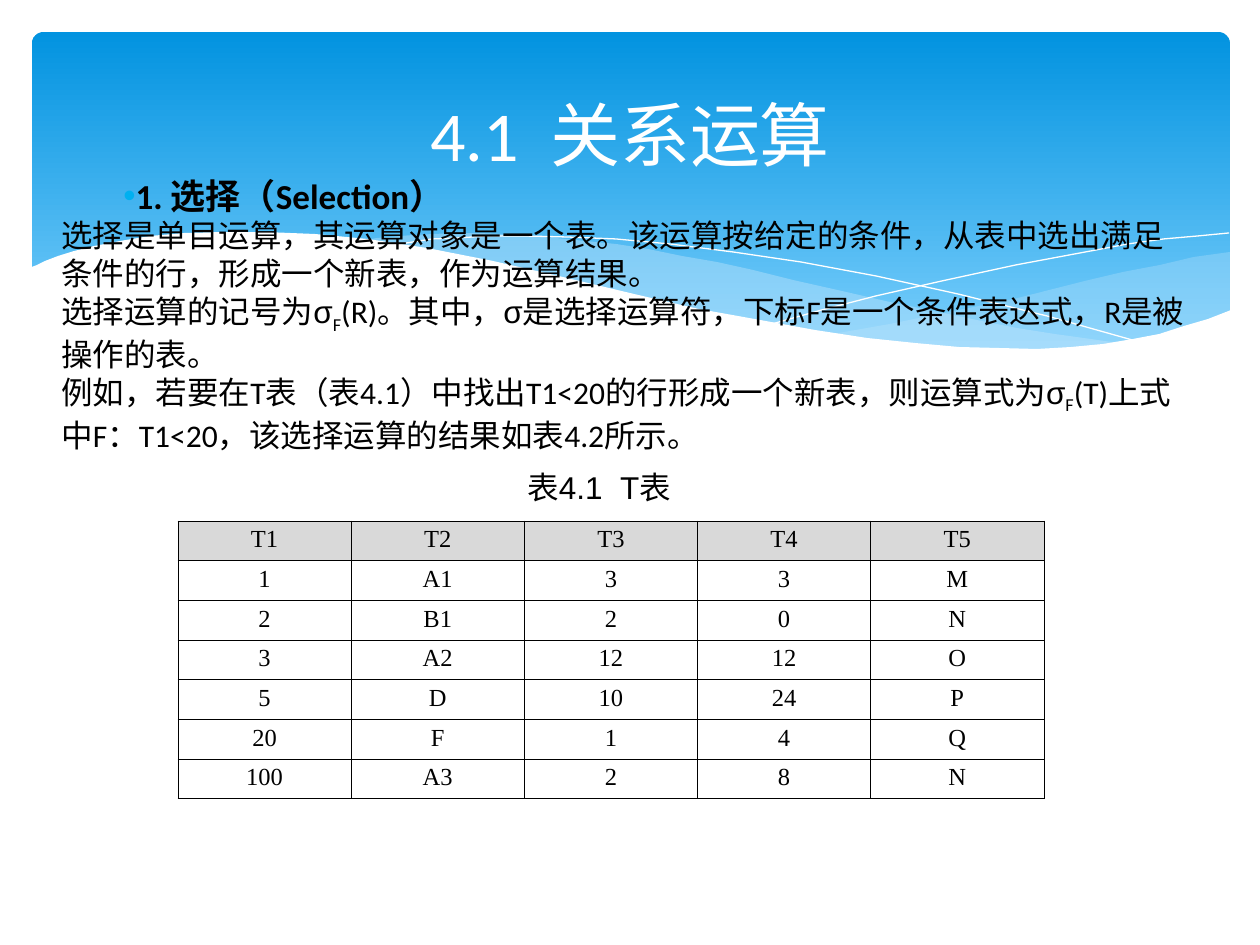
from lxml.etree import SubElement
from pptx import Presentation
from pptx.dml.color import RGBColor
from pptx.enum.shapes import MSO_SHAPE
from pptx.enum.text import MSO_ANCHOR, PP_ALIGN
from pptx.oxml.ns import qn
from pptx.util import Pt

PX = 914400 / 126
COLORS = {
    "sky_top": "0293E0", "sky_bottom": "83D3FE", "wave": "C6E7FC",
    "white": "FFFFFF", "black": "000000", "bullet": "00B0F0", "header": "D9D9D9",
}


def px(value):
    return round(value * PX)


def add_run(paragraph, text, size, font="Calibri", color="black", bold=False, baseline=0):
    run = paragraph.add_run()
    run.text = text
    run.font.size = Pt(size)
    run.font.name = font
    run.font.bold = bold
    run.font.color.rgb = RGBColor.from_string(COLORS[color])
    if baseline:
        run.font._element.set("baseline", str(baseline * 1000))


presentation = Presentation()
presentation.slide_width = px(1260)
presentation.slide_height = px(945)
slide = presentation.slides.add_slide(presentation.slide_layouts[6])

banner = slide.shapes.add_shape(MSO_SHAPE.ROUNDED_RECTANGLE, px(32), px(32), px(1198), px(340))
banner.shadow.inherit = False
banner.adjustments[0] = 0.034
banner.line.fill.background()
banner.fill.gradient()
banner.fill.gradient_angle = 270
for stop, name, position in zip(banner.fill.gradient_stops, ("sky_top", "sky_bottom"), (0, 1)):
    stop.color.rgb = RGBColor.from_string(COLORS[name])
    stop.position = position

right_wave = [
    (1230, 252), (1194, 257), (1160, 265), (1123, 272), (1085, 281), (1014, 299), (949, 312),
    (890, 324), (833, 334), (871, 339), (905, 344), (939, 347), (969, 349), (1012, 350),
    (1038, 350), (1076, 348), (1110, 344), (1140, 339), (1169, 331), (1196, 324), (1213, 318),
    (1230, 311),
]
long_wave = [
    (1125, 344), (1091, 339), (1055, 334), (1017, 328), (977, 320), (934, 311), (890, 302),
    (842, 291), (793, 280), (753, 270), (717, 262), (682, 256), (648, 249), (616, 244),
    (585, 241), (556, 238), (529, 236), (503, 234), (479, 233), (455, 233), (413, 235),
    (377, 238), (360, 241), (407, 247), (456, 256), (509, 266), (566, 280), (619, 292),
    (668, 302), (713, 312), (757, 321), (799, 329), (838, 335), (876, 340), (910, 345),
    (942, 348), (974, 350), (1017, 351), (1056, 351), (1092, 348),
]
falling_line = [
    (389, 246), (413, 242), (432, 239), (457, 238), (488, 236), (524, 236), (567, 237),
    (616, 239), (670, 244), (733, 252), (801, 262), (876, 276), (958, 294), (1047, 316),
    (1143, 343),
]
rising_line = [
    (772, 324), (822, 310), (876, 296), (942, 281), (1016, 265), (1091, 251), (1128, 244),
    (1164, 239), (1198, 236), (1229, 233),
]
white_wave = [
    (1231, 310), (1208, 319), (1184, 326), (1159, 334), (1133, 339), (1103, 344), (1071, 347),
    (1037, 349), (999, 348), (959, 347), (915, 343), (867, 338), (815, 330), (760, 320),
    (699, 309), (634, 294), (563, 277), (493, 261), (427, 248), (368, 239), (315, 234),
    (266, 232), (222, 232), (184, 233), (150, 236), (120, 241), (94, 246), (74, 251),
    (58, 256), (45, 261), (37, 265), (29, 268), (29, 415), (1231, 415),
]
for points, fill, opacity in (
    (right_wave, "wave", 29),
    (long_wave, "wave", 40),
    (falling_line, None, 100),
    (rising_line, None, 100),
    (white_wave, "white", 100),
):
    builder = slide.shapes.build_freeform(*points[0], scale=PX)
    builder.add_line_segments(points[1:], close=fill is not None)
    shape = builder.convert_to_shape()
    shape.shadow.inherit = False
    if fill:
        shape.fill.solid()
        shape.fill.fore_color.rgb = RGBColor.from_string(COLORS[fill])
        shape.line.fill.background()
        if opacity < 100:
            color = shape._element.spPr.find(qn("a:solidFill")).find(qn("a:srgbClr"))
            SubElement(color, qn("a:alpha"), val=str(opacity * 1000))
    else:
        shape.fill.background()
        shape.line.color.rgb = RGBColor.from_string(COLORS["white"])
        shape.line.width = 0

title = slide.shapes.add_textbox(px(63), px(47), px(1134), px(173))
title.text_frame.word_wrap = True
title.text_frame.vertical_anchor = MSO_ANCHOR.MIDDLE
paragraph = title.text_frame.paragraphs[0]
paragraph.alignment = PP_ALIGN.CENTER
add_run(paragraph, "4.1  关系运算", 40, color="white")

body = slide.shapes.add_textbox(px(49), px(168), px(1152), px(330))
body.text_frame.word_wrap = True
heading = body.text_frame.paragraphs[0]
properties = heading._p.get_or_add_pPr()
properties.set("marL", "0")
properties.set("indent", str(px(62)))
bullet_color = SubElement(properties, qn("a:buClr"))
SubElement(bullet_color, qn("a:srgbClr"), val=COLORS["bullet"])
SubElement(properties, qn("a:buFont"), typeface="Arial")
SubElement(properties, qn("a:buChar"), char="•")
add_run(heading, "1. 选择（Selection）", 20, bold=True)

sigma = ("σ", "Arial", 0)
subscript = ("F", "Calibri", -25)
for runs in (
    [("选择是单目运算，其运算对象是一个表。该运算按给定的条件，从表中选出满足条件的行，形成一个新表，作为运算结果。", "Calibri", 0)],
    [("选择运算的记号为", "Calibri", 0), sigma, subscript, ("(R)。其中，", "Calibri", 0), sigma,
     ("是选择运算符，下标F是一个条件表达式，R是被操作的表。", "Calibri", 0)],
    [("例如，若要在T表（表4.1）中找出T1<20的行形成一个新表，则运算式为", "Calibri", 0), sigma, subscript,
     ("(T)上式中F：T1<20，该选择运算的结果如表4.2所示。", "Calibri", 0)],
):
    paragraph = body.text_frame.add_paragraph()
    for text, font, baseline in runs:
        add_run(paragraph, text, 18, font, baseline=baseline)

rows = [
    ("T1", "T2", "T3", "T4", "T5"),
    ("1", "A1", "3", "3", "M"),
    ("2", "B1", "2", "0", "N"),
    ("3", "A2", "12", "12", "O"),
    ("5", "D", "10", "24", "P"),
    ("20", "F", "1", "4", "Q"),
    ("100", "A3", "2", "8", "N"),
]
frame = slide.shapes.add_table(len(rows), len(rows[0]), px(178), px(521), px(866), px(278))
table = frame.table
table.first_row = False
table.horz_banding = False
for row_index, row in enumerate(rows):
    for column_index, text in enumerate(row):
        cell = table.cell(row_index, column_index)
        cell.margin_left = cell.margin_right = px(10)
        cell.margin_top = cell.margin_bottom = px(6)
        cell.vertical_anchor = MSO_ANCHOR.MIDDLE
        cell_properties = cell._tc.get_or_add_tcPr()
        for side in ("lnL", "lnR", "lnT", "lnB"):
            border = SubElement(cell_properties, qn("a:" + side), w=str(Pt(0.45)))
            border_fill = SubElement(border, qn("a:solidFill"))
            SubElement(border_fill, qn("a:srgbClr"), val=COLORS["black"])
        if row_index == 0:
            cell.fill.solid()
            cell.fill.fore_color.rgb = RGBColor.from_string(COLORS["header"])
        else:
            cell.fill.background()
        paragraph = cell.text_frame.paragraphs[0]
        paragraph.alignment = PP_ALIGN.CENTER
        paragraph.line_spacing = Pt(14)
        add_run(paragraph, text, 14, "Times New Roman")

caption = slide.shapes.add_textbox(px(515), px(462), px(184), px(88))
caption.text_frame.word_wrap = False
add_run(caption.text_frame.paragraphs[0], "表4.1  T表", 18, "Arial")

presentation.save("out.pptx")
